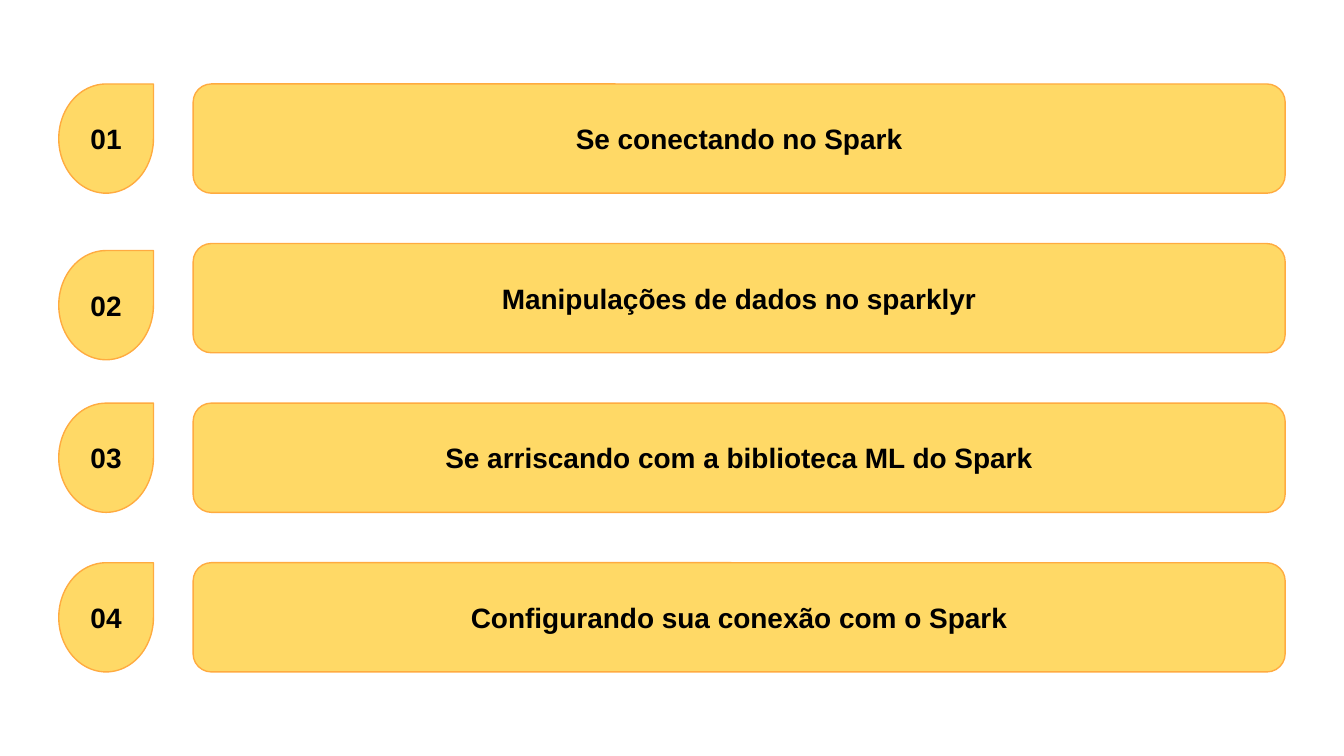
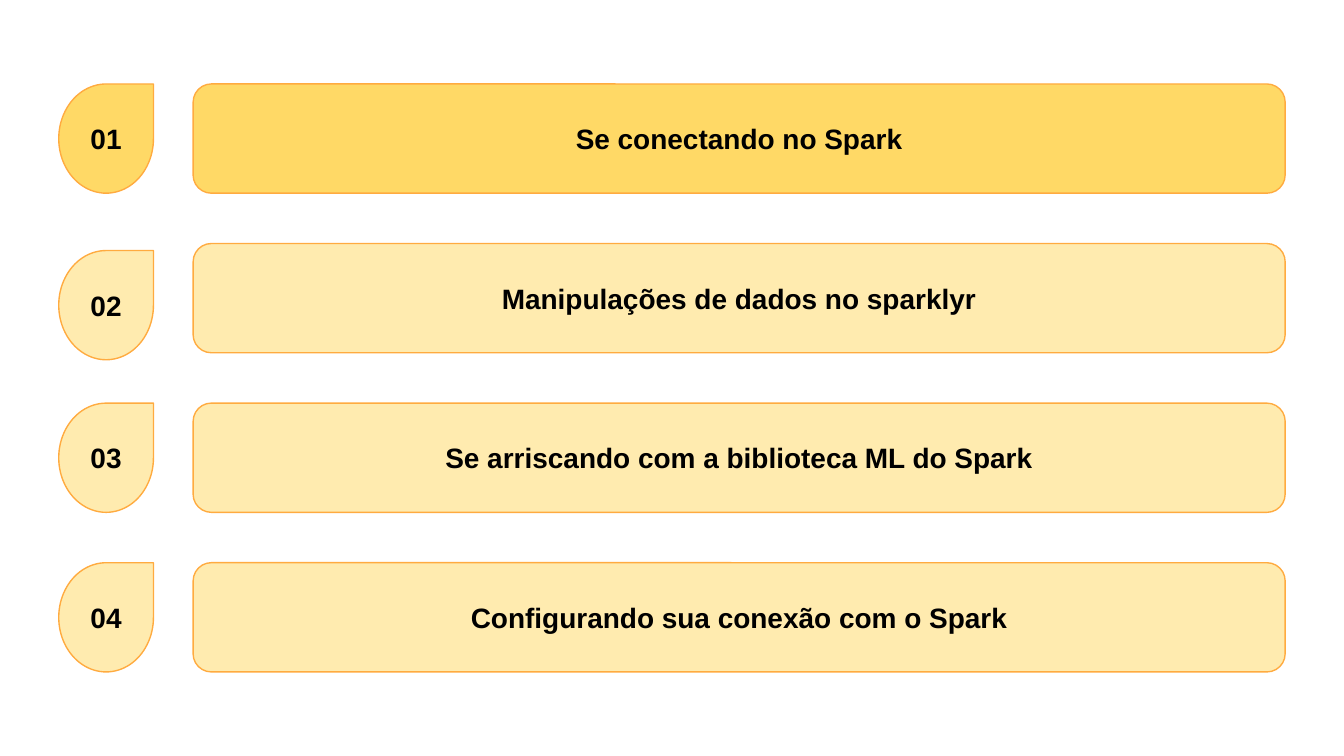
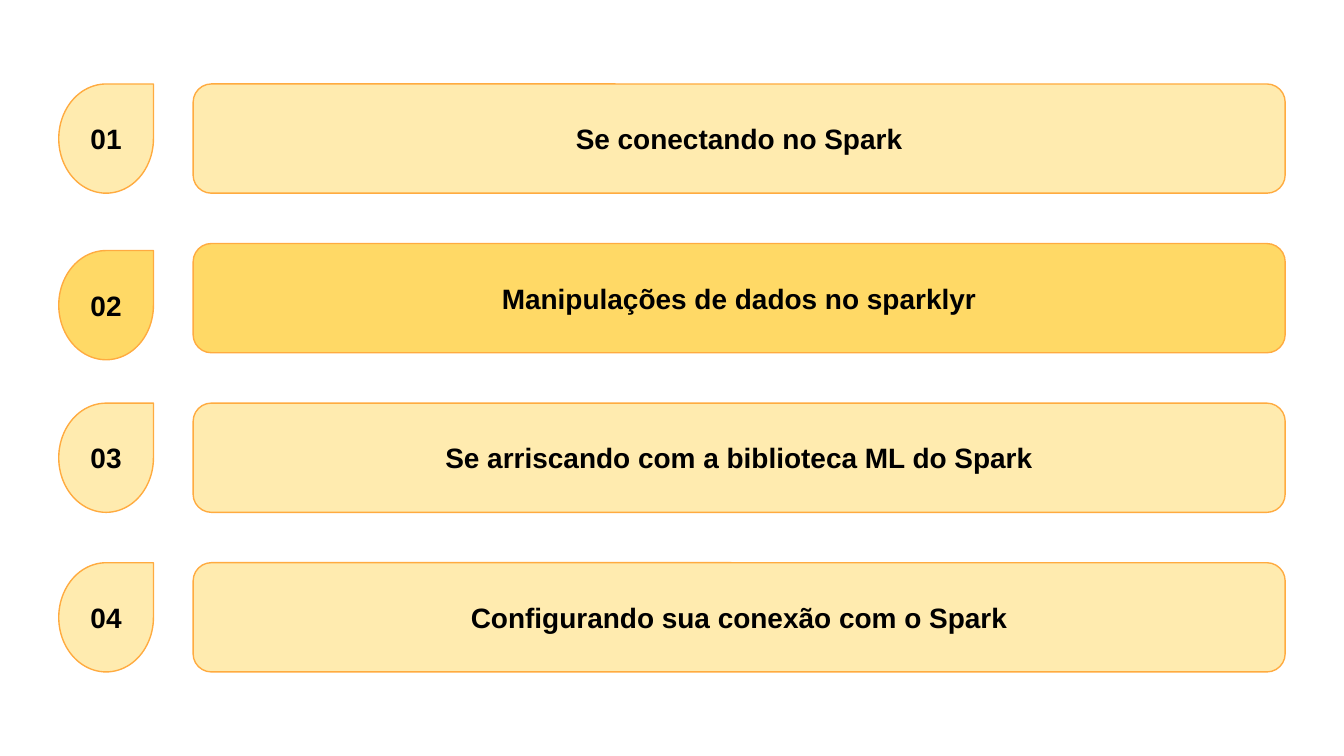
from dataclasses import dataclass
from typing import Optional

from lxml.etree import SubElement
from pptx import Presentation
from pptx.dml.color import RGBColor
from pptx.enum.shapes import MSO_SHAPE
from pptx.enum.text import MSO_ANCHOR, PP_ALIGN
from pptx.oxml.ns import qn
from pptx.slide import Slide
from pptx.util import Pt


@dataclass(frozen=True)
class Theme:
    fill: RGBColor = RGBColor(0xFF, 0xD9, 0x66)
    outline: RGBColor = RGBColor(0xFF, 0xAB, 0x40)
    text: RGBColor = RGBColor(0, 0, 0)
    font: str = "Arial"
    text_size: float = 15
    outline_width: float = 0.75
    inset: float = 7.2
    faded_opacity: int = 52


@dataclass(frozen=True)
class Topic:
    title: str
    number_drop: float = 0  # how far the number sits below its bar's top


@dataclass(frozen=True)
class Panel:
    kind: MSO_SHAPE
    left: float
    width: float
    corner: float


THEME = Theme()
SLIDE_WIDTH, SLIDE_HEIGHT = 720, 405
FIRST_TOP, ROW_PITCH, ROW_HEIGHT = 45, 85.5, 58.5
TITLE_BAR = Panel(MSO_SHAPE.ROUNDED_RECTANGLE, left=103.5, width=585, corner=0.167)
NUMBER_DROP = Panel(MSO_SHAPE.TEAR, left=31.5, width=50.75, corner=1)

TOPICS = [
    Topic("Se conectando no Spark"),
    Topic("Manipulações de dados no sparklyr", number_drop=3.75),
    Topic("Se arriscando com a biblioteca ML do Spark"),
    Topic("Configurando sua conexão com o Spark"),
]
# Highlighted topic on each slide; None highlights them all.
HIGHLIGHTS = [None, 0, 1]


def write_text(shape, text: str, *, size: float, bold: bool, color: RGBColor) -> None:
    frame = shape.text_frame
    frame.word_wrap = True
    frame.vertical_anchor = MSO_ANCHOR.MIDDLE
    frame.margin_left = frame.margin_right = Pt(THEME.inset)
    frame.margin_top = frame.margin_bottom = Pt(THEME.inset)
    paragraph = frame.paragraphs[0]
    paragraph.alignment = PP_ALIGN.CENTER
    run = paragraph.add_run()
    run.text = text
    run.font.name = THEME.font
    run.font.size = Pt(size)
    run.font.bold = bold
    run.font.color.rgb = color


def set_opacity(shape, percent: int) -> None:
    color = shape.element.spPr.find(qn("a:solidFill")).find(qn("a:srgbClr"))
    SubElement(color, qn("a:alpha")).set("val", str(percent * 1000))


def add_panel(slide: Slide, panel: Panel, top: float, text: str, faded: bool) -> None:
    shape = slide.shapes.add_shape(
        panel.kind, Pt(panel.left), Pt(top), Pt(panel.width), Pt(ROW_HEIGHT)
    )
    shape.adjustments[0] = panel.corner
    shape.shadow.inherit = False
    shape.fill.solid()
    shape.fill.fore_color.rgb = THEME.fill
    if faded:
        set_opacity(shape, THEME.faded_opacity)
    shape.line.color.rgb = THEME.outline
    shape.line.width = Pt(THEME.outline_width)
    write_text(shape, text, size=THEME.text_size, bold=True, color=THEME.text)


def add_agenda(slide: Slide, highlight: Optional[int]) -> None:
    for index, topic in enumerate(TOPICS):
        top = FIRST_TOP + index * ROW_PITCH
        faded = highlight is not None and index != highlight
        add_panel(slide, TITLE_BAR, top, topic.title, faded)
        add_panel(slide, NUMBER_DROP, top + topic.number_drop, f"{index + 1:02}", faded)


def main() -> None:
    deck = Presentation()
    deck.slide_width, deck.slide_height = Pt(SLIDE_WIDTH), Pt(SLIDE_HEIGHT)
    blank = deck.slide_layouts[6]
    for highlight in HIGHLIGHTS:
        add_agenda(deck.slides.add_slide(blank), highlight)
    deck.save("out.pptx")


if __name__ == "__main__":
    main()
